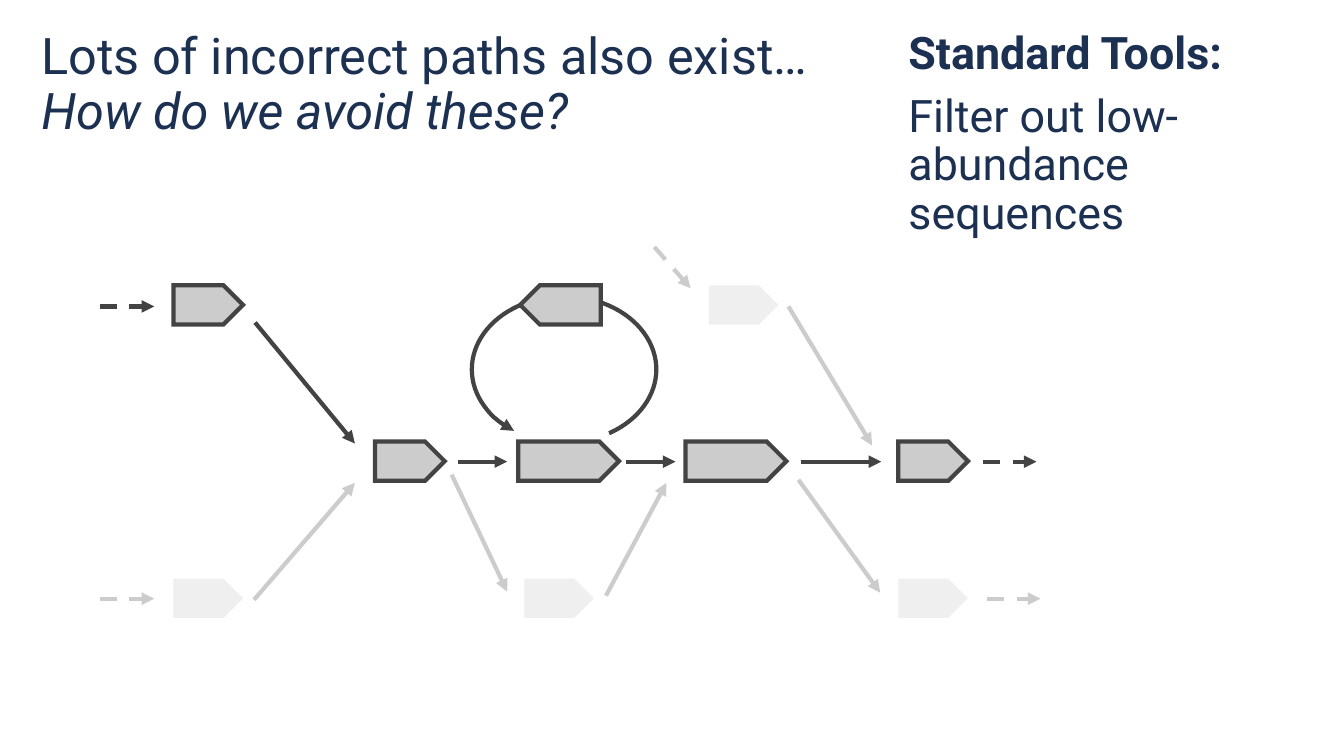
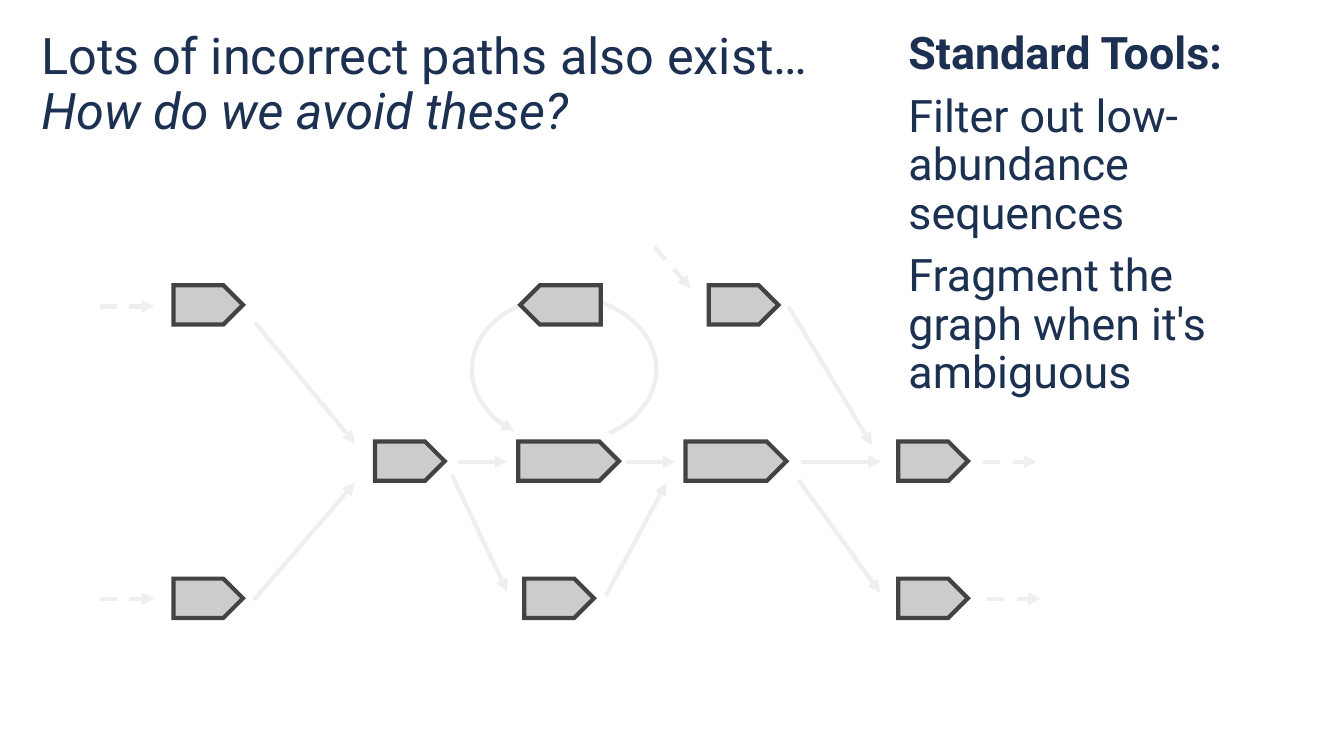
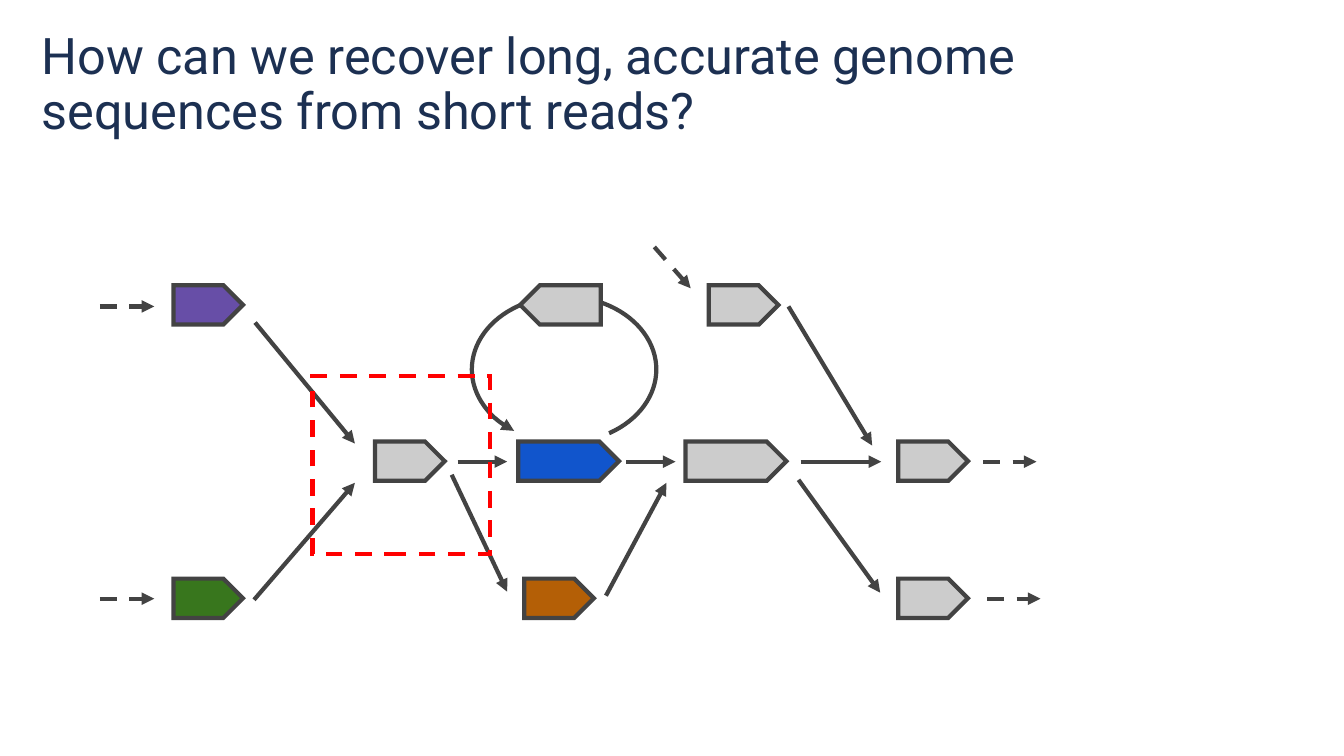
from lxml import etree
from pptx import Presentation
from pptx.dml.color import RGBColor
from pptx.enum.dml import MSO_LINE
from pptx.enum.shapes import MSO_CONNECTOR, MSO_SHAPE
from pptx.enum.text import MSO_ANCHOR, MSO_AUTO_SIZE, PP_ALIGN
from pptx.oxml.ns import qn
from pptx.util import Inches, Pt

# Colours
NAVY = RGBColor(0x1C, 0x30, 0x52)
DARK = RGBColor(0x43, 0x43, 0x43)
GRAY = RGBColor(0xCC, 0xCC, 0xCC)
PALE = RGBColor(0xEF, 0xEF, 0xEF)
PURPLE = RGBColor(0x67, 0x4E, 0xA7)
GREEN = RGBColor(0x38, 0x76, 0x1D)
ORANGE = RGBColor(0xB4, 0x5F, 0x06)
BLUE = RGBColor(0x11, 0x55, 0xCC)
RED = RGBColor(0xFF, 0x00, 0x00)

# Sequence graph: node name -> left, top, width
TOP, MIDDLE, BOTTOM = 2.83, 4.38, 5.74
NODE_HEIGHT = 0.39
SHORT, LOOP, LONG = 0.69, 0.8, 1
NODES = {
    "upper start": (1.72, TOP, SHORT),
    "lower start": (1.72, BOTTOM, SHORT),
    "junction": (3.72, MIDDLE, SHORT),
    "loop": (5.16, TOP, LOOP),
    "upper branch": (5.14, MIDDLE, LONG),
    "lower branch": (5.2, BOTTOM, SHORT),
    "merge": (6.8, MIDDLE, LONG),
    "side entry": (7.03, TOP, SHORT),
    "upper end": (8.91, MIDDLE, SHORT),
    "lower end": (8.91, BOTTOM, SHORT),
}

# Arrows: (source, target) -> x1, y1, x2, y2; an open end (None) is dashed
EDGES = {
    (None, "upper start"): (0.99, 3.04, 1.53, 3.04),
    (None, "lower start"): (0.99, 5.94, 1.53, 5.94),
    (None, "side entry"): (6.49, 2.45, 6.85, 2.86),
    ("upper start", "junction"): (2.53, 3.2, 3.52, 4.4),
    ("lower start", "junction"): (2.52, 5.95, 3.52, 4.79),
    ("junction", "upper branch"): (4.54, 4.58, 5.03, 4.58),
    ("junction", "lower branch"): (4.48, 4.71, 5.03, 5.87),
    ("upper branch", "merge"): (6.21, 4.58, 6.7, 4.58),
    ("lower branch", "merge"): (6.01, 5.91, 6.61, 4.79),
    ("side entry", "upper end"): (7.82, 3.04, 8.65, 4.42),
    ("merge", "upper end"): (7.94, 4.58, 8.74, 4.58),
    ("merge", "lower end"): (7.92, 4.76, 8.73, 5.88),
    ("upper end", None): (9.75, 4.58, 10.28, 4.58),
    ("lower end", None): (9.79, 5.94, 10.32, 5.94),
}

PATHS_TITLE = ["Lots of incorrect paths also exist…", "How do we avoid these?"]
TOOLS = ["Standard Tools:", "Filter out low-abundance sequences",
         "Fragment the graph when it's ambiguous"]


class Deck:
    """Shared style and the slide being built."""

    font = "Roboto"
    line_width = Pt(3)

    def __init__(self):
        self.presentation = Presentation()
        self.presentation.slide_width = Inches(13.33)
        self.presentation.slide_height = Inches(7.5)
        self.slide = None

    def new_slide(self, layout_name):
        layout = self.presentation.slide_layouts.get_by_name(layout_name)
        self.slide = self.presentation.slides.add_slide(layout)

    def fill_placeholder(self, index, box, lines, size, space_before=0):
        placeholder = self.slide.placeholders[index]
        (placeholder.left, placeholder.top,
         placeholder.width, placeholder.height) = map(Inches, box)
        frame = placeholder.text_frame
        frame.text = "\n".join(lines)
        frame.word_wrap = True
        frame.auto_size = MSO_AUTO_SIZE.NONE
        frame.vertical_anchor = MSO_ANCHOR.TOP
        for number, paragraph in enumerate(frame.paragraphs):
            properties = paragraph._p.get_or_add_pPr()
            properties.set("marL", "0")
            properties.set("indent", "0")
            etree.SubElement(properties, qn("a:buNone"))
            paragraph.alignment = PP_ALIGN.LEFT
            paragraph.line_spacing = 0.9
            paragraph.space_before = Pt(space_before if number else 0)
            for run in paragraph.runs:
                run.font.name = self.font
                run.font.size = Pt(size)
                run.font.color.rgb = NAVY
        return frame.paragraphs

    def title(self, lines, width, height):
        return self.fill_placeholder(0, (0.31, 0.26, width, height), lines, 36)

    def sidebar(self, lines):
        paragraphs = self.fill_placeholder(1, (8.91, 0.26, 4.01, 1.77), lines, 32, 10)
        paragraphs[0].runs[0].font.bold = True

    def outline(self, shape, color, dashed=False, arrow=None):
        line = shape.line
        line.color.rgb = color
        line.width = self.line_width
        if dashed:
            line.dash_style = MSO_LINE.DASH
        element = shape.element.spPr.find(qn("a:ln"))
        etree.SubElement(element, qn("a:miter"), lim="800000")
        if arrow:
            etree.SubElement(element, qn(f"a:{arrow}"), type="triangle")

    def shape(self, kind, left, top, width, height, fill=None):
        shape = self.slide.shapes.add_shape(
            kind, Inches(left), Inches(top), Inches(width), Inches(height))
        shape.shadow.inherit = False
        if fill is None:
            shape.fill.background()
        else:
            shape.fill.solid()
            shape.fill.fore_color.rgb = fill
        return shape

    def node(self, name, fill, line_color=None):
        left, top, width = NODES[name]
        node = self.shape(MSO_SHAPE.PENTAGON, left, top, width, NODE_HEIGHT, fill)
        if name == "loop":
            node.element.spPr.find(qn("a:xfrm")).set("flipH", "1")
        if line_color is None:
            node.line.fill.background()
        else:
            self.outline(node, line_color)

    def arrow(self, points, color, dashed):
        connector = self.slide.shapes.add_connector(
            MSO_CONNECTOR.STRAIGHT, *map(Inches, points))
        self.outline(connector, color, dashed, "tailEnd")
        etree.SubElement(connector.element.spPr, qn("a:effectLst"))

    def loop_arc(self, color):
        arc = self.shape(MSO_SHAPE.ARC, 4.68, 2.94, 1.83, 1.45)
        arc.adjustments[0] = 77.467
        arc.adjustments[1] = 32.877
        self.outline(arc, color, arrow="headEnd")

    def graph(self, edge_color=DARK, fills=None, faded=()):
        """Draw the graph; faded nodes also fade the arrows that touch them."""
        fills = fills or {}
        self.loop_arc(edge_color)
        for ends, points in EDGES.items():
            color = GRAY if set(ends) & set(faded) else edge_color
            self.arrow(points, color, dashed=None in ends)
        for name in NODES:
            if name in faded:
                self.node(name, PALE)
            else:
                self.node(name, fills.get(name, GRAY), DARK)

    def highlight(self, left, top, width, height):
        frame = self.shape(MSO_SHAPE.RECTANGLE, left, top, width, height)
        self.outline(frame, RED, dashed=True)


def paths_slide(deck, tools, **graph_style):
    deck.new_slide("Title and Content")
    question = deck.title(PATHS_TITLE, 8.12, 2.45)[1]
    question.runs[0].font.italic = True
    deck.sidebar(tools)
    deck.graph(**graph_style)


def main():
    deck = Deck()

    # Filtering low-abundance sequences
    paths_slide(deck, TOOLS[:2],
                faded=("lower start", "lower branch", "side entry", "lower end"))

    # Fragmenting the graph
    paths_slide(deck, TOOLS, edge_color=PALE)

    # Recovering long sequences
    deck.new_slide("Title Only")
    deck.title(["How can we recover long, accurate genome sequences from short reads?"],
               10.01, 1.37)
    deck.graph(fills={"upper start": PURPLE, "lower start": GREEN,
                      "upper branch": BLUE, "lower branch": ORANGE})
    deck.highlight(3.1, 3.73, 1.76, 1.77)

    deck.presentation.save("out.pptx")


if __name__ == "__main__":
    main()
